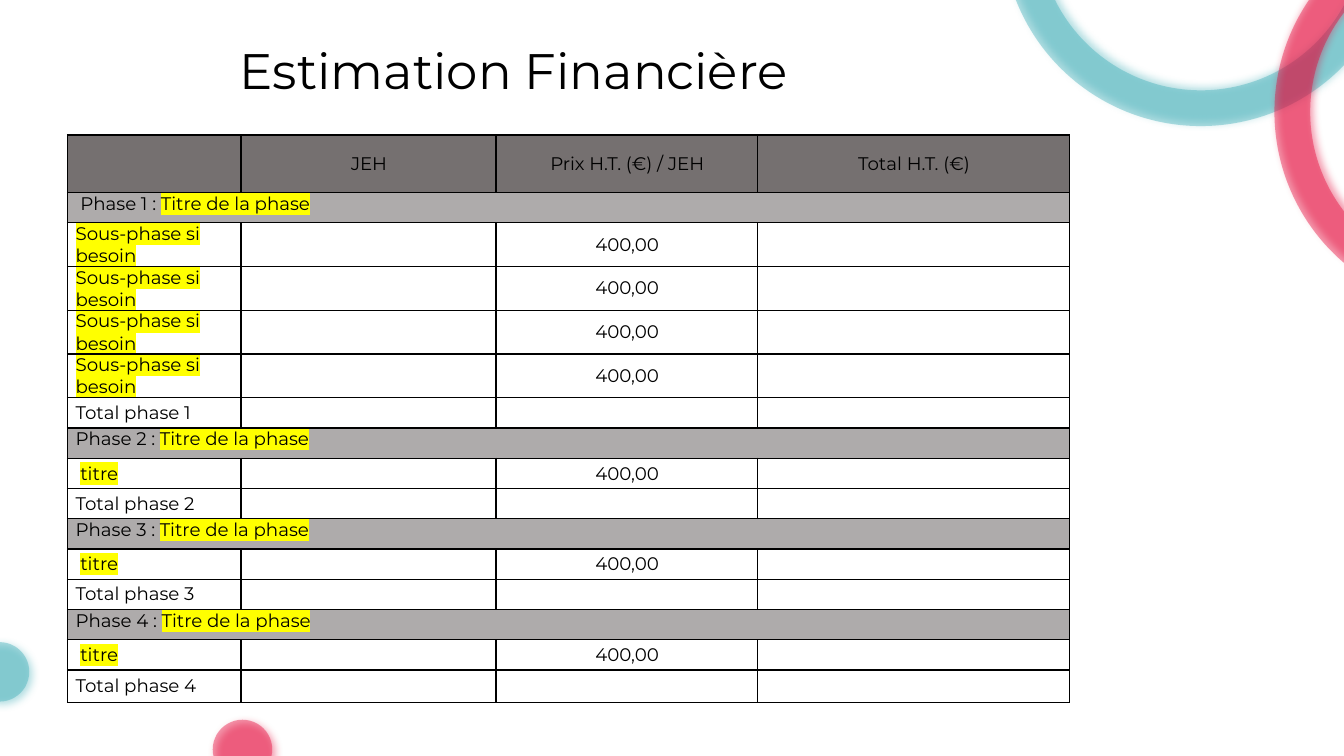
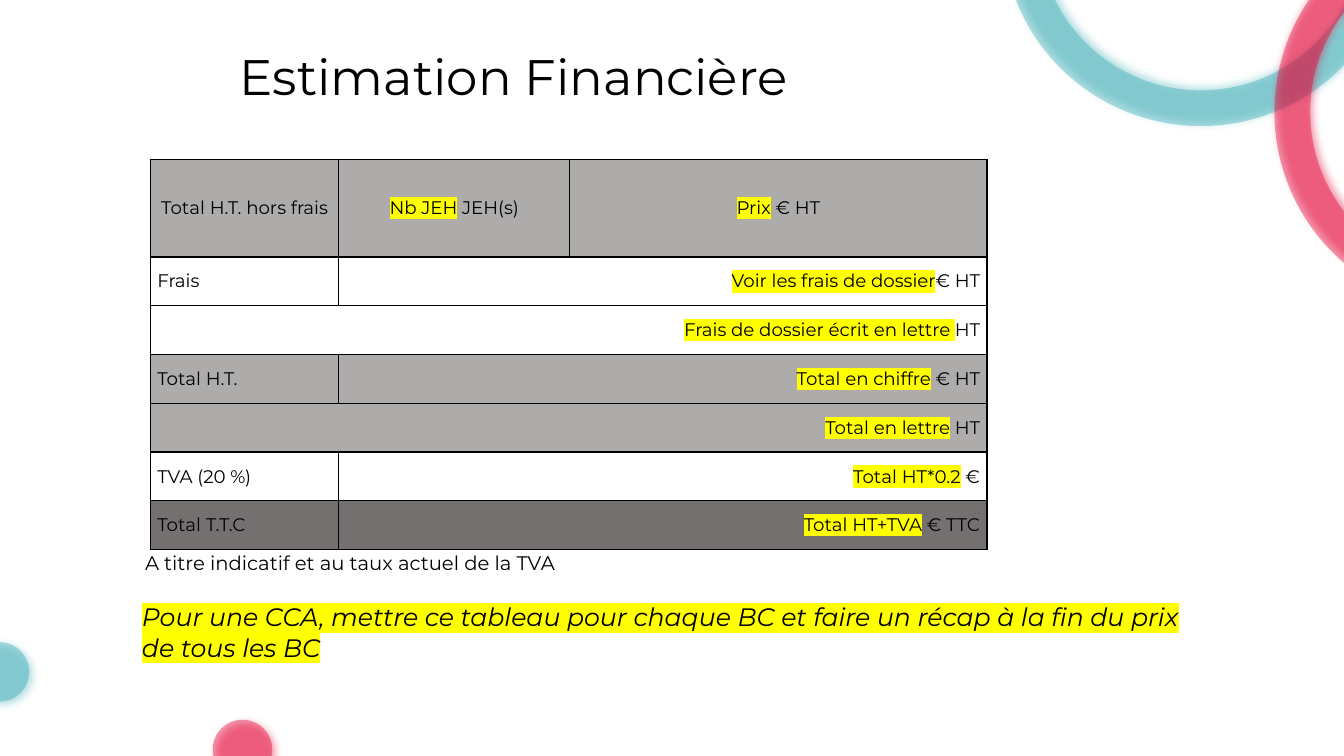
import pptx
import pptx.util
from lxml import etree
from pptx.dml.color import RGBColor
from pptx.enum.shapes import MSO_SHAPE
from pptx.enum.text import MSO_ANCHOR, PP_ALIGN
from pptx.oxml.ns import qn

BLACK = RGBColor(0x00, 0x00, 0x00)
WHITE = RGBColor(0xFF, 0xFF, 0xFF)
DARK = RGBColor(0x75, 0x70, 0x70)
GREY = RGBColor(0xAE, 0xAB, 0xAB)
TEAL = RGBColor(0x3C, 0xAC, 0xB6)
PINK = RGBColor(0xE4, 0x01, 0x34)
YELLOW = RGBColor(0xFF, 0xFF, 0x00)
FONT = "Montserrat"
OPACITY = "40000"
ALIGN = {"l": PP_ALIGN.LEFT, "c": PP_ALIGN.CENTER, "r": PP_ALIGN.RIGHT}
TOP, MIDDLE = MSO_ANCHOR.TOP, MSO_ANCHOR.MIDDLE
Inches, Pt = pptx.util.Inches, pptx.util.Pt


def write(tf, text, size, align="l"):
    """Fill the first paragraph; text between two bars is highlighted."""
    p = tf.paragraphs[0]
    p.alignment = ALIGN[align]
    p.font.name, p.font.size, p.font.color.rgb = FONT, Pt(size), BLACK
    for i, piece in enumerate(text.split("|")):
        if piece:
            r = p.add_run()
            r.text = piece
            if i % 2:
                highlight = etree.SubElement(r.font._element, qn("a:highlight"))
                etree.SubElement(highlight, qn("a:srgbClr"), val=str(YELLOW))
    return p


def add_grid(s, left, top, widths, heights, rows, inset):
    """Add a bordered table; the last text of a short row spans the rest."""
    table = s.shapes.add_table(len(rows), len(widths), Inches(left), Inches(top),
                               Inches(sum(widths)), Inches(sum(heights))).table
    table.first_row = table.horz_banding = False
    for column, width in zip(table.columns, widths):
        column.width = Inches(width)
    last = len(widths) - 1
    for y, (fill, anchor, aligns, texts) in enumerate(rows):
        table.rows[y].height = Inches(heights[y])
        for x in range(len(widths)):
            cell = table.cell(y, x)
            tcPr = cell._tc.get_or_add_tcPr()
            for side in ("a:lnL", "a:lnR", "a:lnT", "a:lnB"):
                ln = etree.SubElement(tcPr, qn(side), w=str(Pt(1)))
                solid = etree.SubElement(ln, qn("a:solidFill"))
                etree.SubElement(solid, qn("a:srgbClr"), val=str(BLACK))
            cell.fill.solid()
            cell.fill.fore_color.rgb = fill
            cell.margin_left, cell.margin_right = Inches(inset), Inches(0.07)
            cell.margin_top = cell.margin_bottom = 0
            cell.vertical_anchor = anchor
            if x < len(texts):
                write(cell.text_frame, texts[x], 13, aligns[x])
        if len(texts) <= last:
            table.cell(y, len(texts) - 1).merge(table.cell(y, last))


prs = pptx.Presentation()
prs.slide_width, prs.slide_height = Inches(13.33), Inches(7.5)
layout = prs.slide_layouts[6]
for ph in list(layout.placeholders):
    ph.element.getparent().remove(ph.element)

# Titles
slides = []
for title_top in (0.38, 0.44):
    s = prs.slides.add_slide(layout)
    tf = s.shapes.add_textbox(Inches(2.28), Inches(title_top), Inches(8.05), Inches(0.69)).text_frame
    tf.word_wrap, tf.vertical_anchor = True, MIDDLE
    write(tf, "Estimation Financière", 35.6).line_spacing = 0.9
    slides.append(s)
phases_slide, totals_slide = slides

# Rings and dots, moved to the layout that both slides share
ARC, DOT = MSO_SHAPE.BLOCK_ARC, MSO_SHAPE.OVAL
for kind, left, top, size, color, turn, start, direction in (
        (ARC, 9.94, -2.69, 3.94, TEAL, 231.3, 72.7, 315),
        (ARC, 12.64, -0.86, 3.94, PINK, 231.3, 100.18, 315),
        (DOT, 2.11, 7.14, 0.59, PINK, 0, None, 45),
        (DOT, -0.3, 6.37, 0.59, TEAL, 0, None, 45)):
    sp = phases_slide.shapes.add_shape(kind, Inches(left), Inches(top), Inches(size), Inches(size))
    sp.rotation = turn
    if start:
        for i, value in enumerate((start, 0.64, 0.09)):
            sp.adjustments[i] = value
    sp.fill.solid()
    sp.fill.fore_color.rgb = color
    sp.line.fill.background()
    sp.shadow.inherit = False
    spPr = sp.element.spPr
    etree.SubElement(spPr.find(".//" + qn("a:srgbClr")), qn("a:alpha"), val=OPACITY)
    shadow = etree.SubElement(spPr.find(qn("a:effectLst")), qn("a:outerShdw"), blurRad=str(Pt(6)),
                              dist=str(Pt(3)), dir=str(direction * 60000), rotWithShape="0")
    tint = etree.SubElement(shadow, qn("a:srgbClr"), val=str(color))
    etree.SubElement(tint, qn("a:alpha"), val=OPACITY)
    layout.shapes.element.append(sp.element)

# Slide 1: price of each phase
PRICE = "400,00"
rows = [(DARK, MIDDLE, "cccc", ["", "JEH", "Prix H.T. (€) / JEH", "Total H.T. (€)"])]
for n in range(1, 5):
    lead = " " if n == 1 else ""
    steps = ["|Sous-phase si besoin|"] * 4 if n == 1 else [" |titre|"]
    rows.append((GREY, TOP, "l", [f"{lead}Phase {n} : |Titre de la phase|"]))
    rows += [(WHITE, MIDDLE, "lccc", [step, "", PRICE, ""]) for step in steps]
    rows.append((WHITE, MIDDLE, "lccc", [f"Total phase {n}", "", "", ""]))
heights = [0.57] + [0.3] * (len(rows) - 2) + [0.32]
add_grid(phases_slide, 0.67, 1.34, (1.72, 2.53, 2.59, 3.1), heights, rows, 0.08)

# Slide 2: totals
rows = [
    (GREY, MIDDLE, "ccc", ["Total H.T. hors frais", "|Nb JEH| JEH(s)", "|Prix| € HT"]),
    (WHITE, MIDDLE, "lr", ["Frais", "|Voir les frais de dossier|€ HT"]),
    (WHITE, MIDDLE, "r", ["|Frais de dossier écrit en lettre |HT"]),
    (GREY, MIDDLE, "lr", ["Total H.T.", "|Total en chiffre| € HT"]),
    (GREY, MIDDLE, "r", ["|Total en lettre| HT"]),
    (WHITE, MIDDLE, "lr", ["TVA (20 %)", "|Total HT*0.2| €"]),
    (DARK, MIDDLE, "lr", ["Total T.T.C", "|Total HT+TVA| € TTC"]),
]
heights = [0.97] + [0.484] * (len(rows) - 1)
add_grid(totals_slide, 1.49, 1.58, (1.87, 2.29, 4.14), heights, rows, 0.07)

for left, top, width, height, size, italic, text in (
        (1.34, 5.42, 11.03, 0.34, 14, None, "A titre indicatif et au taux actuel de la TVA"),
        (1.31, 5.92, 10.61, 0.71, 18, True,
         "|Pour une CCA, mettre ce tableau pour chaque BC et faire un récap à la fin du prix de tous les BC|")):
    tf = totals_slide.shapes.add_textbox(Inches(left), Inches(top), Inches(width), Inches(height)).text_frame
    tf.word_wrap = True
    write(tf, text, size).font.italic = italic

prs.save("out.pptx")
